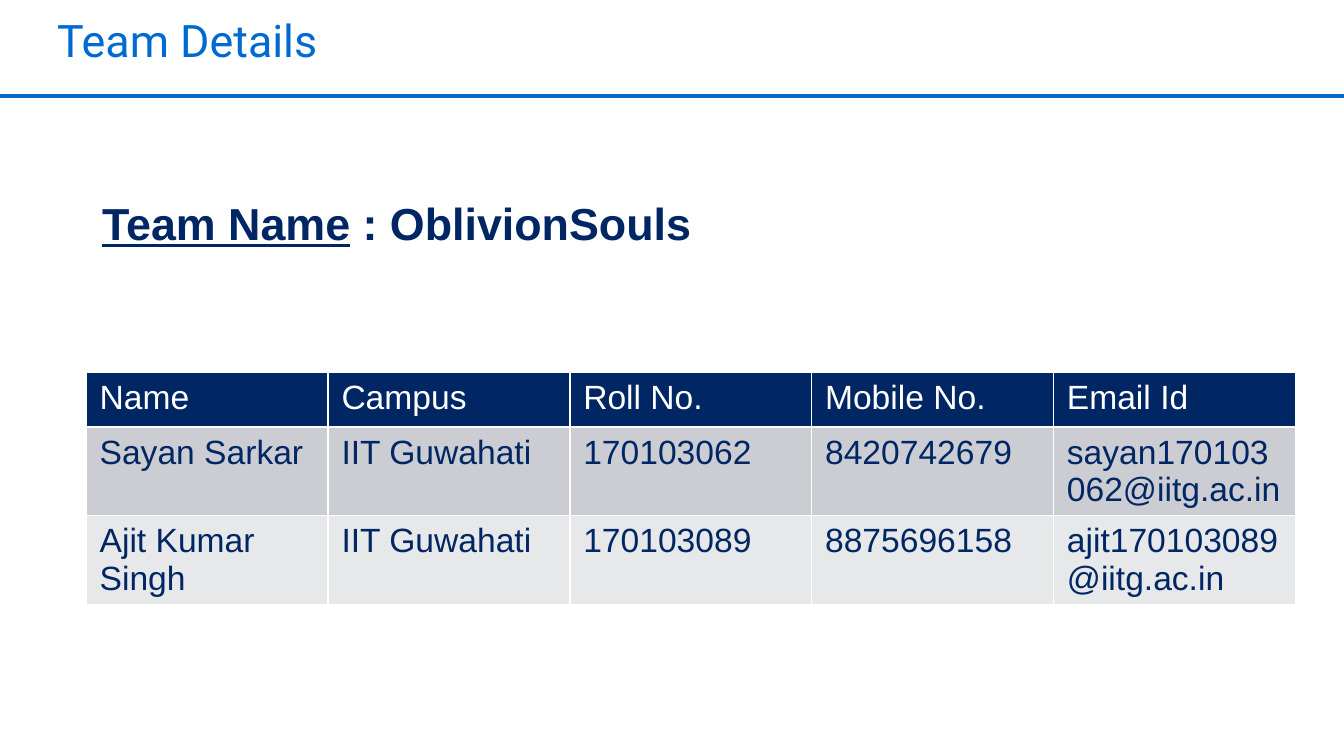
from lxml import etree
from pptx import Presentation
from pptx.dml.color import RGBColor
from pptx.enum.shapes import MSO_CONNECTOR
from pptx.enum.text import MSO_ANCHOR, MSO_AUTO_SIZE, PP_ALIGN
from pptx.oxml.ns import qn
from pptx.util import Cm, Pt

STRAIGHT = MSO_CONNECTOR.STRAIGHT
TOP = MSO_ANCHOR.TOP
LEFT = PP_ALIGN.LEFT
NO_FIT = MSO_AUTO_SIZE.NONE
GROW = MSO_AUTO_SIZE.SHAPE_TO_FIT_TEXT

BLUE = RGBColor(0x00, 0x6A, 0xD2)
RULE_BLUE = RGBColor(0x09, 0x68, 0xCE)
NAVY = RGBColor(0x00, 0x26, 0x63)
WHITE = RGBColor(0xFF, 0xFF, 0xFF)
DARK_BAND = RGBColor(0xCC, 0xCD, 0xD3)
LIGHT_BAND = RGBColor(0xE7, 0xE8, 0xEA)

TITLE_ONLY = 5


class TeamPage:
    """Holds the style and the current slide."""

    body_font = "Arial"
    title_font = "Roboto"
    heading_size = 24
    table_size = 18

    def __init__(self, deck):
        self.page = deck.slides.add_slide(deck.slide_layouts[TITLE_ONLY])

    def span(self, para, text, size, color, font=body_font, bold=False, underline=False):
        run = para.add_run()
        run.text = text
        run.font.name = font
        run.font.size = Pt(size)
        run.font.color.rgb = color
        run.font.bold = bold
        run.font.underline = underline

    def title(self, text, left, top, width, height):
        box = self.page.shapes.title
        box.left, box.top, box.width, box.height = left, top, width, height
        frame = box.text_frame
        frame.margin_left = frame.margin_top = frame.margin_right = frame.margin_bottom = 0
        frame.vertical_anchor = TOP
        frame.auto_size = NO_FIT
        para = frame.paragraphs[0]
        para.alignment = LEFT
        para.line_spacing = 0.82
        self.span(para, text, self.heading_size, BLUE, self.title_font)

    def rule(self, top, width):
        line = self.page.shapes.add_connector(STRAIGHT, 0, top, width, top)
        line.line.color.rgb = RULE_BLUE
        line.line.width = Pt(2)
        etree.SubElement(line._element.spPr, qn("a:effectLst"))

    def label(self, name, value, left, top, width, height):
        box = self.page.shapes.add_textbox(left, top, width, height)
        frame = box.text_frame
        frame.word_wrap = True
        frame.auto_size = GROW
        para = frame.paragraphs[0]
        self.span(para, name, self.heading_size, NAVY, bold=True, underline=True)
        self.span(para, value, self.heading_size, NAVY, bold=True)

    def borders(self, cell):
        props = cell._tc.get_or_add_tcPr()
        for side in ("a:lnL", "a:lnR", "a:lnT", "a:lnB"):
            edge = etree.SubElement(props, qn(side), w=str(Pt(1)))
            fill = etree.SubElement(edge, qn("a:solidFill"))
            etree.SubElement(fill, qn("a:srgbClr"), val=str(WHITE))

    def table(self, rows, left, top, column_width, row_heights):
        count = len(rows[0])
        grid = self.page.shapes.add_table(
            len(rows), count, left, top, column_width * count, sum(row_heights)
        ).table
        for column in grid.columns:
            column.width = column_width
        for r, values in enumerate(rows):
            grid.rows[r].height = row_heights[r]
            band = NAVY if r == 0 else (LIGHT_BAND, DARK_BAND)[r % 2]
            color = WHITE if r == 0 else NAVY
            for c, value in enumerate(values):
                cell = grid.cell(r, c)
                self.borders(cell)
                cell.fill.solid()
                cell.fill.fore_color.rgb = band
                self.span(cell.text_frame.paragraphs[0], value, self.table_size, color)


MEMBERS = [
    ["Name", "Campus", "Roll No.", "Mobile No.", "Email Id"],
    ["Sayan Sarkar", "IIT Guwahati", "170103062", "8420742679", "sayan170103062@iitg.ac.in"],
    ["Ajit Kumar Singh", "IIT Guwahati", "170103089", "8875696158", "ajit170103089@iitg.ac.in"],
]

deck = Presentation()
deck.slide_width = Cm(25.4)
deck.slide_height = Cm(14.29)
team = TeamPage(deck)

# Heading and rule
team.title("Team Details", Cm(1.08), Cm(0.43), Cm(22.86), Cm(2.08))
team.rule(Cm(1.82), deck.slide_width)

# Team members
team.table(MEMBERS, Cm(1.63), Cm(7.04), Cm(4.57), [Cm(1.03), Cm(1.03), Cm(1.03)])

# Team name
team.label("Team Name", " : OblivionSouls", Cm(1.68), Cm(3.58), Cm(16.97), Cm(1.27))

deck.save("out.pptx")
